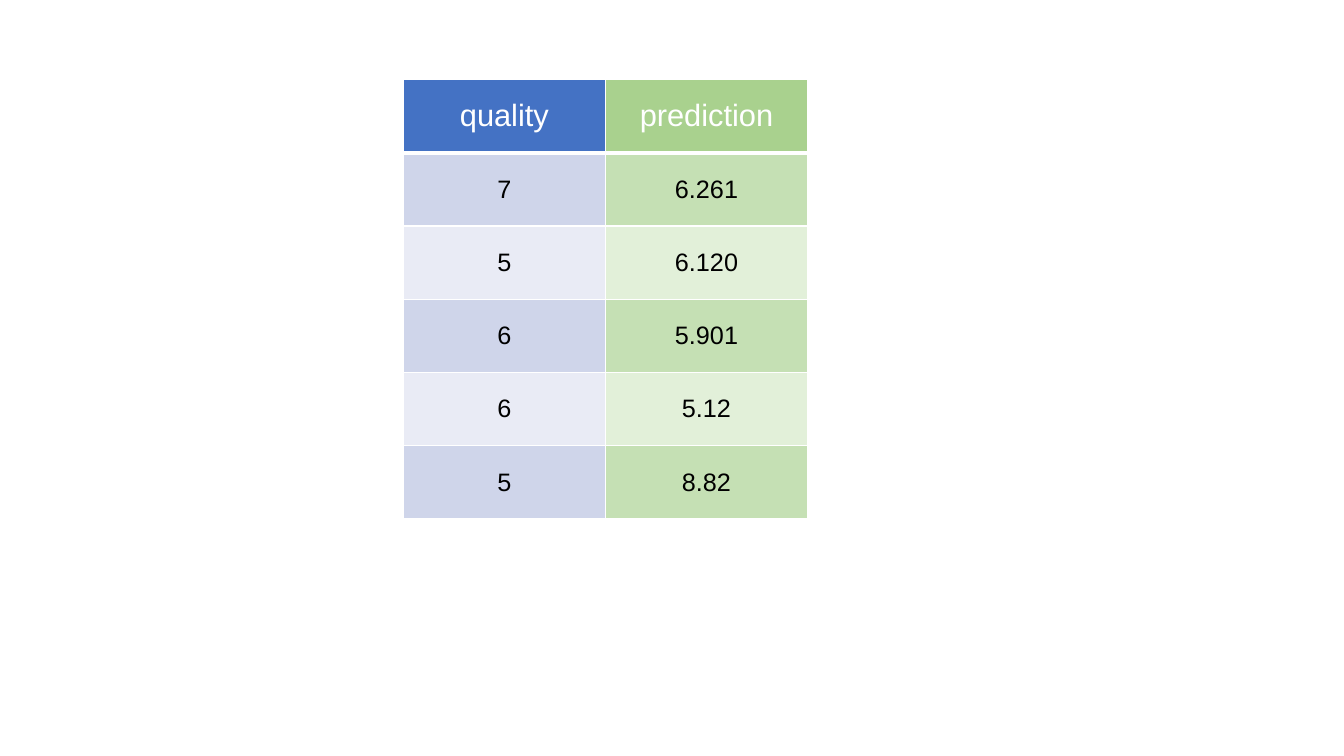
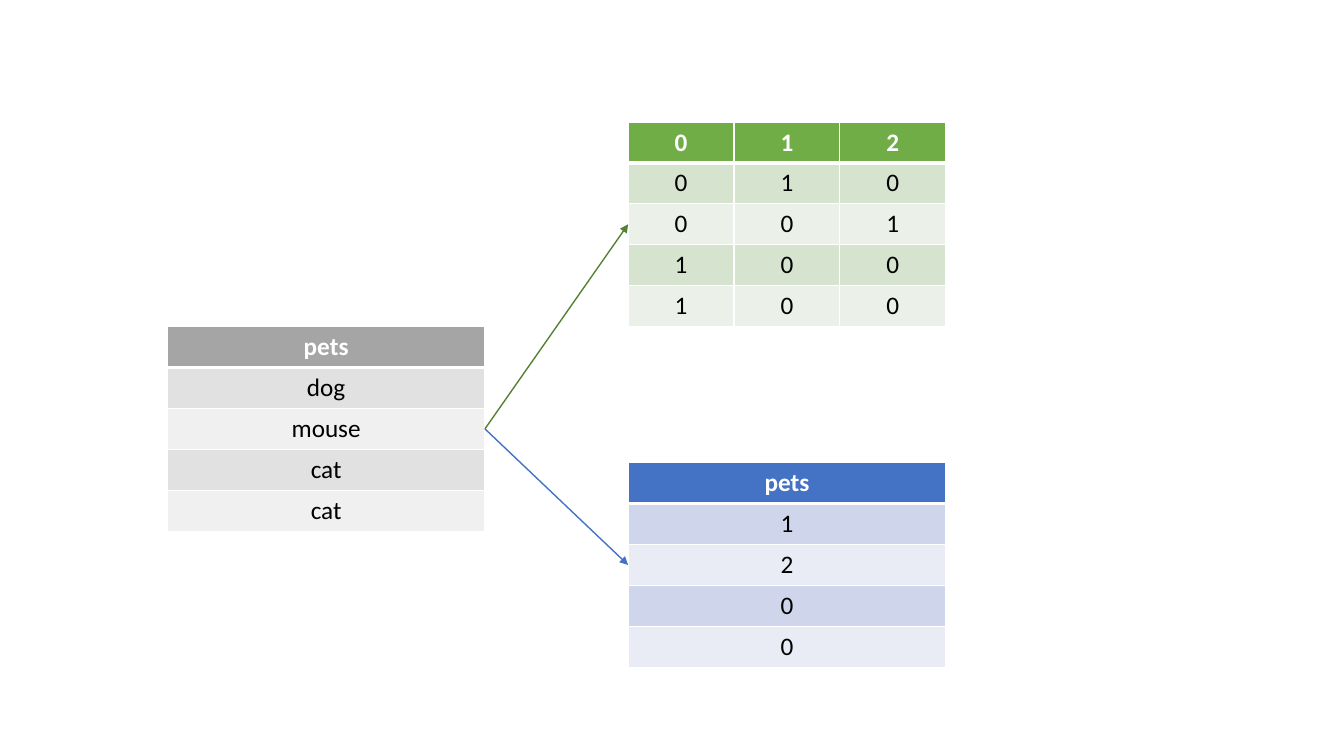
from dataclasses import dataclass

from lxml.etree import SubElement
from pptx import Presentation
from pptx.dml.color import RGBColor
from pptx.enum.shapes import MSO_CONNECTOR
from pptx.enum.text import MSO_ANCHOR, PP_ALIGN
from pptx.oxml import parse_xml
from pptx.oxml.ns import nsdecls, qn
from pptx.slide import Slide
from pptx.table import _Cell
from pptx.util import Inches, Pt


@dataclass(frozen=True)
class Palette:
    """Header fill and the two alternating body fills of a column."""
    header: str
    odd: str
    even: str

    def fill(self, row: int) -> str:
        if row == 0:
            return self.header
        return self.odd if row % 2 else self.even


@dataclass(frozen=True)
class Theme:
    blue: Palette = Palette("4472C4", "CFD5EA", "E9EBF5")
    light_green: Palette = Palette("A9D18E", "C5E0B4", "E2F0D9")
    green: Palette = Palette("70AD47", "D5E3CF", "EBF1E9")
    gray: Palette = Palette("A5A5A5", "E1E1E1", "F0F0F0")
    header_text: str = "FFFFFF"
    body_text: str = "000000"
    border: str = "FFFFFF"
    green_arrow: str = "548235"
    blue_arrow: str = "4472C4"
    body_size: int = 18
    large_size: int = 22
    border_width: int = 1
    header_rule: int = 3
    arrow_width: int = 1


THEME = Theme()


@dataclass(frozen=True)
class TableStyle:
    font: str
    header_size: int
    header_bold: bool
    anchor: MSO_ANCHOR


PREDICTION_STYLE = TableStyle("Arial", THEME.large_size, False, MSO_ANCHOR.MIDDLE)
ENCODING_STYLE = TableStyle("Calibri", THEME.body_size, True, MSO_ANCHOR.TOP)


@dataclass(frozen=True)
class DataTable:
    left: float
    top: float
    width: float
    height: float
    rows: list[list[str]]
    palettes: list[Palette]  # one per column
    style: TableStyle = ENCODING_STYLE

    @property
    def middle(self) -> float:
        return self.top + self.height / 2

    @property
    def right(self) -> float:
        return self.left + self.width


def set_borders(cell: _Cell, row: int) -> None:
    """Draw thin borders, with a thick rule between header and body."""
    widths = {side: THEME.border_width for side in ("L", "R", "T", "B")}
    if row == 0:
        widths["B"] = THEME.header_rule
    elif row == 1:
        widths["T"] = THEME.header_rule
    properties = cell._tc.get_or_add_tcPr()
    for position, (side, width) in enumerate(widths.items()):
        properties.insert(position, parse_xml(
            f'<a:ln{side} {nsdecls("a")} w="{Pt(width)}"><a:solidFill>'
            f'<a:srgbClr val="{THEME.border}"/></a:solidFill></a:ln{side}>'))


def format_cell(cell: _Cell, text: str, row: int, palette: Palette, style: TableStyle) -> None:
    is_header = row == 0
    cell.text = text
    cell.vertical_anchor = style.anchor
    cell.fill.solid()
    cell.fill.fore_color.rgb = RGBColor.from_string(palette.fill(row))
    paragraph = cell.text_frame.paragraphs[0]
    paragraph.alignment = PP_ALIGN.CENTER
    font = paragraph.font
    font.name = style.font
    font.size = Pt(style.header_size if is_header else THEME.body_size)
    font.bold = is_header and style.header_bold
    font.color.rgb = RGBColor.from_string(THEME.header_text if is_header else THEME.body_text)
    set_borders(cell, row)


def draw_table(slide: Slide, data: DataTable) -> None:
    table = slide.shapes.add_table(
        len(data.rows), len(data.palettes), Inches(data.left), Inches(data.top),
        Inches(data.width), Inches(data.height)).table
    table.horz_banding = False
    for row, texts in enumerate(data.rows):
        for column, (text, palette) in enumerate(zip(texts, data.palettes)):
            format_cell(table.cell(row, column), text, row, palette, data.style)


def draw_arrow(slide: Slide, source: DataTable, target: DataTable, color: str) -> None:
    """Join the right side of one table to the left side of another."""
    connector = slide.shapes.add_connector(
        MSO_CONNECTOR.STRAIGHT, Inches(source.right), Inches(source.middle),
        Inches(target.left), Inches(target.middle))
    connector.line.color.rgb = RGBColor.from_string(color)
    connector.line.width = Pt(THEME.arrow_width)
    properties = connector._element.spPr
    SubElement(properties.find(qn("a:ln")), qn("a:tailEnd"), type="triangle")
    SubElement(properties, qn("a:effectLst"))


def build_prediction_slide(slide: Slide) -> None:
    draw_table(slide, DataTable(
        4, 0.79, 4.01, 4.36,
        [["quality", "prediction"], ["7", "6.261"], ["5", "6.120"],
         ["6", "5.901"], ["6", "5.12"], ["5", "8.82"]],
        [THEME.blue, THEME.light_green], PREDICTION_STYLE))


def build_encoding_slide(slide: Slide) -> None:
    width, height = 3.15, 2.03
    target_left = 6.23
    pets = DataTable(1.66, 3.24, width, height,
                     [["pets"], ["dog"], ["mouse"], ["cat"], ["cat"]], [THEME.gray])
    one_hot = DataTable(target_left, 1.21, width, height,
                        [list(digits) for digits in ("012", "010", "001", "100", "100")],
                        [THEME.green] * 3)
    labels = DataTable(target_left, 4.59, width, height,
                       [["pets"], ["1"], ["2"], ["0"], ["0"]], [THEME.blue])
    for data in (pets, one_hot, labels):
        draw_table(slide, data)
    # Arrows from the source column to its two encodings
    draw_arrow(slide, pets, one_hot, THEME.green_arrow)
    draw_arrow(slide, pets, labels, THEME.blue_arrow)


def main() -> None:
    presentation = Presentation()
    presentation.slide_width = Inches(13.33)
    presentation.slide_height = Inches(7.5)
    blank_layout = presentation.slide_layouts.get_by_name("Blank")
    for build in (build_prediction_slide, build_encoding_slide):
        build(presentation.slides.add_slide(blank_layout))
    presentation.save("out.pptx")


if __name__ == "__main__":
    main()
